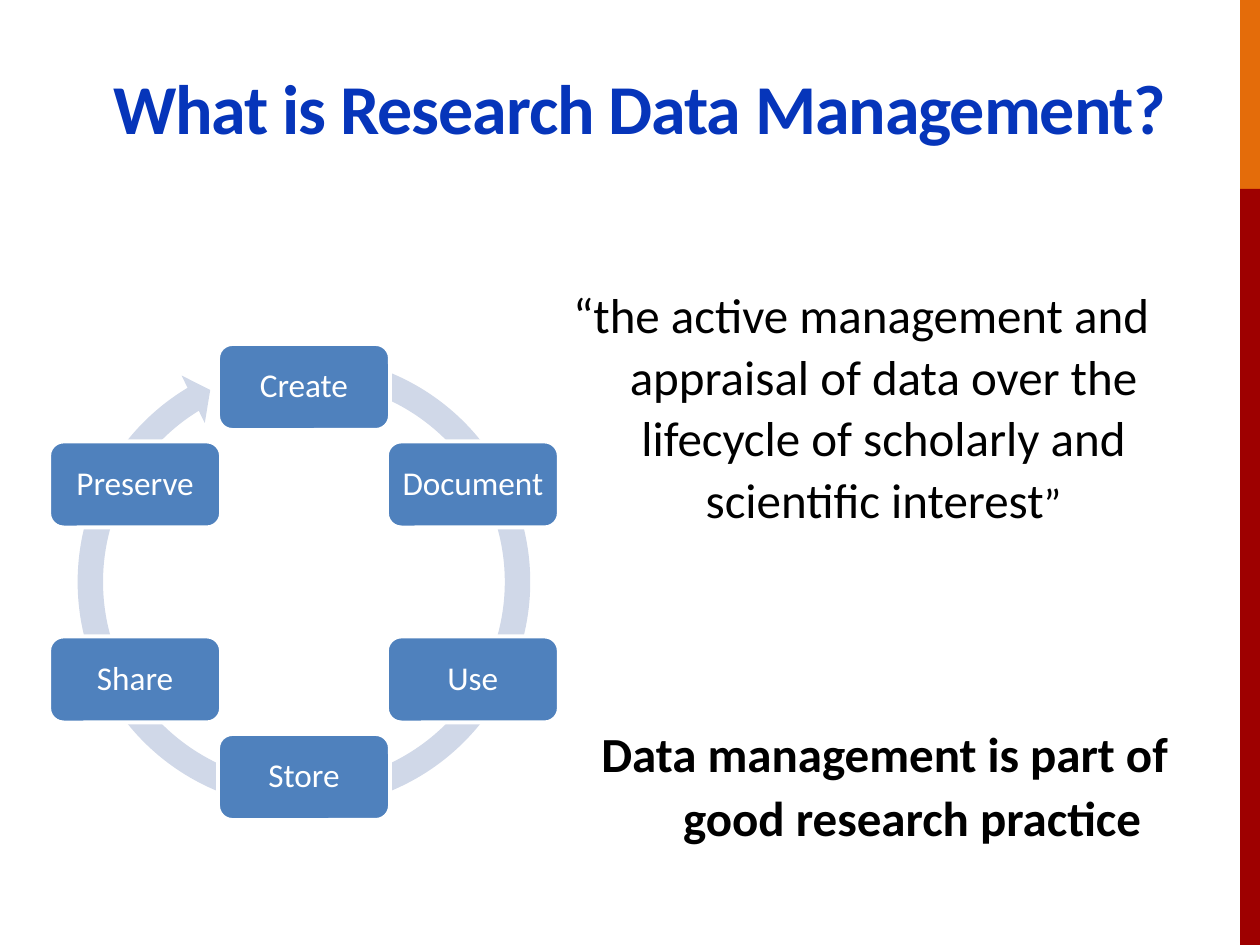
"""Build the research data management slide with its lifecycle ring."""
from math import cos, radians, sin

from pptx import Presentation
from pptx.dml.color import RGBColor
from pptx.enum.shapes import MSO_SHAPE as SHAPE
from pptx.enum.text import MSO_ANCHOR as ANCHOR, MSO_AUTO_SIZE as AUTO, PP_ALIGN as ALIGN
from pptx.oxml.ns import qn
from pptx.util import Pt

COLORS = {"title": "0635BA", "text": "000000", "white": "FFFFFF", "node": "4F81BD",
          "ring": "D0D8E8", "orange": "E46C0A", "red": "9E0000"}
STAGES = ["Create", "Document", "Use", "Store", "Share", "Preserve"]
RING_ADJ = [0.053, 3.126, 143.262, 170.699, 0.055]


def px(n):
    """Turn pixels into EMU."""
    return round(n * 914400 / 126)


def rgb(name):
    """Look up a named colour."""
    return RGBColor.from_string(COLORS[name])


class Slide:
    """Hold the style and the current slide."""

    font = "Calibri"

    def __init__(self, prs):
        """Add a slide with a title and two body placeholders."""
        self.s = prs.slides.add_slide(prs.slide_layouts[3])

    def style(self, p, size, color, bold=False):
        """Format every run of a paragraph."""
        for r in p.runs:
            f = r.font
            f.name, f.size, f.bold = self.font, Pt(size), bold
            f.color.rgb = rgb(color)

    def shape(self, parent, kind, box, fill, line=None):
        """Add a filled preset shape."""
        sp = parent.shapes.add_shape(kind, *map(px, box))
        sp.shadow.inherit = False
        sp.fill.solid()
        sp.fill.fore_color.rgb = rgb(fill)
        if line:
            sp.line.color.rgb = rgb(line)
            sp.line.width = Pt(2.25)
        else:
            sp.line.fill.background()
        return sp

    def place(self, idx, box, text, anchor):
        """Move and fill a placeholder and return its text frame."""
        sp = self.s.placeholders[idx]
        sp.left, sp.top, sp.width, sp.height = map(px, box)
        tf = sp.text_frame
        tf.text = text
        tf.auto_size, tf.word_wrap, tf.vertical_anchor = AUTO.NONE, True, anchor
        return tf

    def title(self, box, text):
        """Set the slide title."""
        p = self.place(0, box, text, ANCHOR.BOTTOM).paragraphs[0]
        p.alignment = ALIGN.CENTER
        self.style(p, 40, "title", True)
        p.runs[0].font._element.set("spc", "-60")

    def body(self, idx, box, text, indents, bold=False):
        """Set centred body text, one (margin, indent) pair a paragraph."""
        tf = self.place(idx, box, text, ANCHOR.TOP)
        for i, (p, (margin, indent)) in enumerate(zip(tf.paragraphs, indents)):
            pPr = p._p.get_or_add_pPr()
            pPr.set("marL", str(px(margin)))
            pPr.set("indent", str(px(indent)))
            pPr.append(pPr.makeelement(qn("a:buNone"), {}))
            p.alignment, p.line_spacing = ALIGN.CENTER, 1.05
            p.space_before = Pt(1.4 if i else 0)
            self.style(p, 28, "text", bold)
        return tf

    def node(self, parent, cx, cy, text, w=172, h=86):
        """Add a rounded label centred on a point."""
        box = (cx - w / 2, cy - h / 2, w, h)
        tf = self.shape(parent, SHAPE.ROUNDED_RECTANGLE, box, "node", "white").text_frame
        tf.text = text
        tf.word_wrap, tf.vertical_anchor = True, ANCHOR.MIDDLE
        tf.margin_left = tf.margin_right = tf.margin_top = tf.margin_bottom = px(10)
        p = tf.paragraphs[0]
        p.alignment, p.line_spacing = ALIGN.CENTER, 0.9
        self.style(p, 19, "white")

    def cycle(self, cx, cy, radius, stages):
        """Add a circular arrow with stages spaced evenly around it."""
        group = self.s.shapes.add_group_shape()
        ring = self.shape(group, SHAPE.CIRCULAR_ARROW, (cx - 240, cy - 240, 480, 480), "ring")
        for i, value in enumerate(RING_ADJ):
            ring.adjustments[i] = value
        for i, stage in enumerate(stages):
            a = radians(360 / len(stages) * i)
            self.node(group, cx + radius * sin(a), cy - radius * cos(a), stage)


def main():
    """Build and save the slide."""
    prs = Presentation()
    prs.slide_width, prs.slide_height = px(1260), px(945)
    slide = Slide(prs)
    slide.shape(slide.s, SHAPE.RECTANGLE, (1240, 0, 20, 189), "orange")
    slide.shape(slide.s, SHAPE.RECTANGLE, (1240, 189, 20, 756), "red")
    slide.title((63, 60, 1153, 95), "What is Research Data Management?")
    slide.cycle(304, 582, 195, STAGES)
    quote = slide.body(1, (524, 275, 674, 262),
                       "“the active management and appraisal of data over the lifecycle "
                       "of scholarly and scientific interest", [(45, -45)])
    p = quote.paragraphs[0]
    p.add_run().text = "”"
    slide.style(p, 28, "text")
    p.runs[-1].font.size = Pt(24)
    slide.body(2, (577, 714, 615, 151),
               "Data management is part of\ngood research practice", [(0, 0), (55, 0)], True)
    prs.save("out.pptx")


if __name__ == "__main__":
    main()
